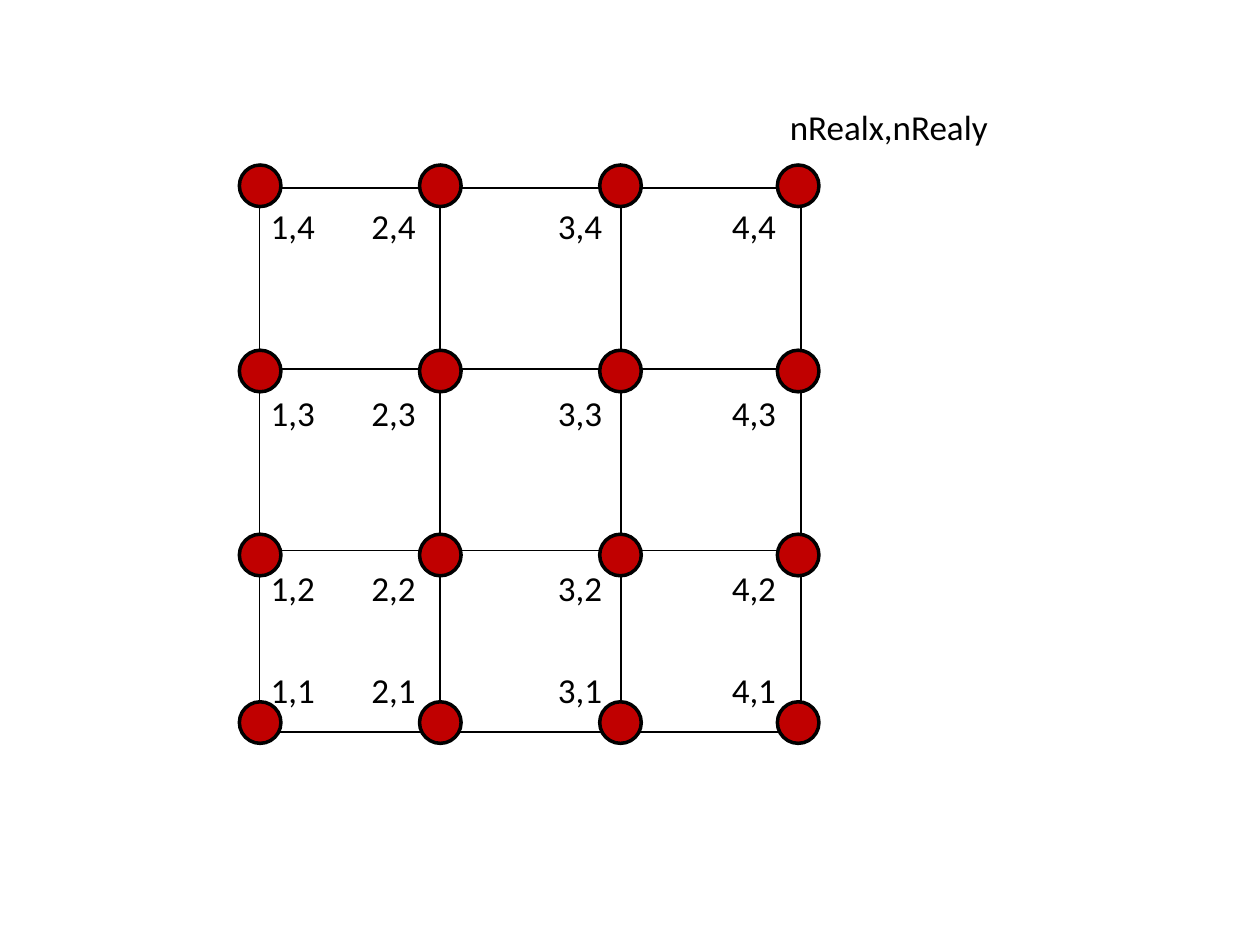
from lxml import etree
from pptx import Presentation, util as u
from pptx.dml.color import RGBColor
from pptx.enum import shapes, text
from pptx.oxml.ns import qn

BLACK, RED = "000000", "C00000"
LINE_XS = [2.06, 3.49, 4.93, 6.36]
LINE_YS = [1.49, 2.93, 4.37, 5.81]
NODE_XS = [1.9, 3.33, 4.76, 6.17]
NODE_YS = [1.31, 2.78, 4.24, 5.57]
LABEL_XS = [2.05, 2.85, 4.33, 5.71]
LABEL_YS = [1.57, 3.06, 4.45, 5.26]
NODE_SIZE = 0.33


def paint(color_format, color):
    """Set a colour format from a hex string."""
    color_format.rgb = RGBColor.from_string(color)


def add_line(group, start, end, color=BLACK, width=1):
    """Add a straight line between two points in inches."""
    points = [u.Inches(value) for value in (*start, *end)]
    line = group.shapes.add_connector(shapes.MSO_CONNECTOR.STRAIGHT, *points)
    paint(line.line.color, color)
    line.line.width = u.Pt(width)
    etree.SubElement(line._element.spPr, qn("a:effectLst"))


def add_node(page, left, top):
    """Add one round grid node."""
    box = [u.Inches(value) for value in (left, top, NODE_SIZE, NODE_SIZE)]
    node = page.shapes.add_shape(shapes.MSO_SHAPE.OVAL, *box)
    node.shadow.inherit = False
    node.fill.solid()
    paint(node.fill.fore_color, RED)
    paint(node.line.color, BLACK)
    node.line.width = u.Pt(2)


def add_text(page, words, left, top, width=0.64, height=0.43,
             size=20, font="Calibri", color=BLACK):
    """Add an unwrapped one-line text box."""
    place = [u.Inches(value) for value in (left, top, width, height)]
    frame = page.shapes.add_textbox(*place).text_frame
    frame.word_wrap = False
    frame.auto_size = text.MSO_AUTO_SIZE.SHAPE_TO_FIT_TEXT
    span = frame.paragraphs[0].add_run()
    span.text = words
    span.font.size = u.Pt(size)
    span.font.name = font
    paint(span.font.color, color)


def add_mesh(page):
    """Draw the vertical and horizontal grid lines as two groups."""
    columns = page.shapes.add_group_shape()
    for x in LINE_XS:
        add_line(columns, (x, LINE_YS[0]), (x, NODE_YS[-1]))
    rows = page.shapes.add_group_shape()
    for y in LINE_YS:
        add_line(rows, (LINE_XS[-1], y), (1.98, y))


def add_nodes(page):
    """Place a node on every grid crossing."""
    for top in NODE_YS:
        for left in NODE_XS:
            add_node(page, left, top)


def add_labels(page):
    """Number the nodes by column and by row from the bottom."""
    for index, top in enumerate(LABEL_YS):
        row = len(LABEL_YS) - index
        for column, left in enumerate(LABEL_XS, 1):
            add_text(page, f"{column},{row}", left, top)
    add_text(page, "nRealx,nRealy", NODE_XS[-1], 0.79, width=2.17)


def main():
    """Build and save the slide."""
    deck = Presentation()
    deck.slide_width, deck.slide_height = u.Inches(10), u.Inches(7.5)
    page = deck.slides.add_slide(deck.slide_layouts[6])
    add_mesh(page)
    add_nodes(page)
    add_labels(page)
    deck.save("out.pptx")


if __name__ == "__main__":
    main()
